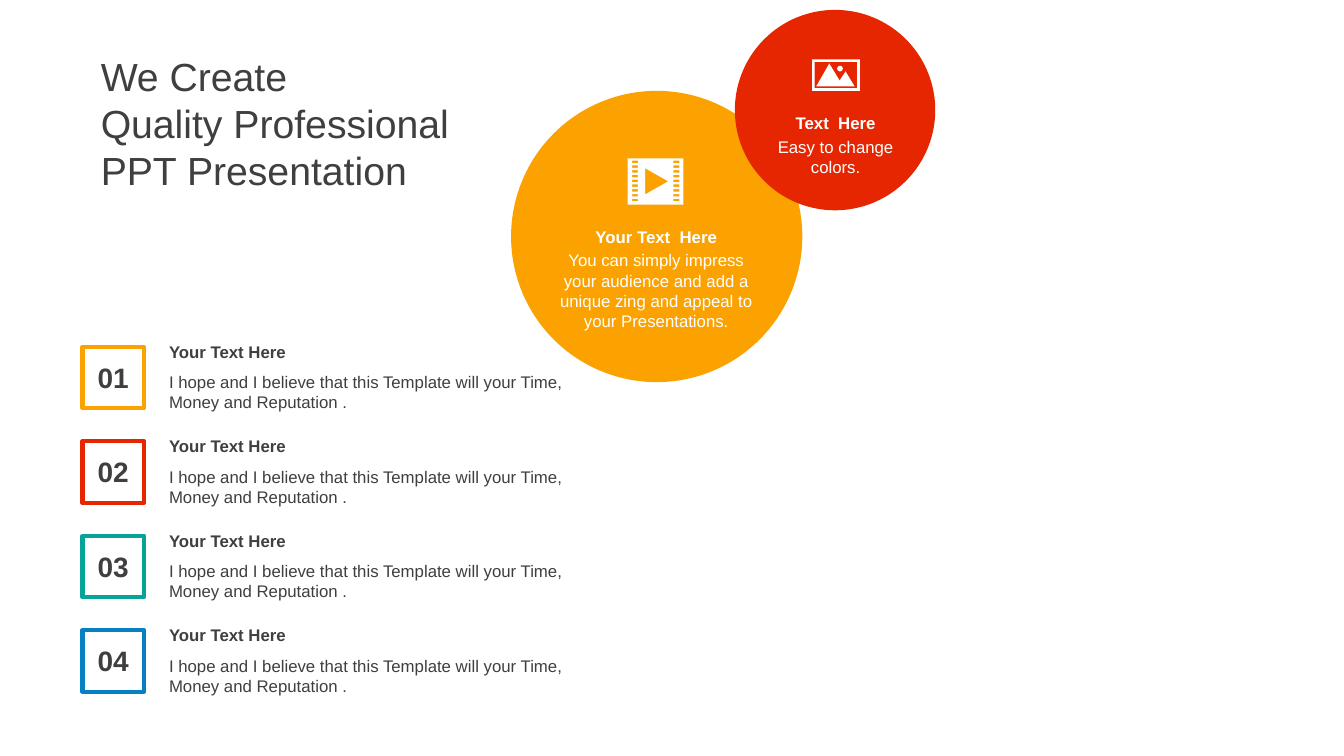
from math import cos, radians, sin

from pptx import Presentation
from pptx.dml.color import RGBColor
from pptx.enum.shapes import MSO_SHAPE as Shape
from pptx.enum.text import MSO_ANCHOR as Anchor, PP_ALIGN as Align
from pptx.util import Cm, Pt

ORANGE = RGBColor(0xFB, 0xA2, 0x00)
RED = RGBColor(0xE6, 0x26, 0x01)
TEAL = RGBColor(0x07, 0xA3, 0x98)
BLUE = RGBColor(0x06, 0x80, 0xC3)
GRAY = RGBColor(0x3F, 0x3F, 0x3F)
WHITE = RGBColor(0xFF, 0xFF, 0xFF)

ITEM_PITCH = 2.38
ITEM_TEXT = ("I hope and I believe that this Template will your Time, "
             "Money and Reputation .")


def rectangle(left, top, width, height):
    """Corner points of a rectangular contour."""
    right, bottom = left + width, top + height
    return [(left, top), (right, top), (right, bottom), (left, bottom)]


def disc(x, y, radius):
    """Points of a round contour."""
    angles = [radians(degree) for degree in range(0, 360, 15)]
    return [(x + radius * cos(a), y + radius * sin(a)) for a in angles]


class Painter:
    """Draws on one page, in centimetres, with one font."""

    font = "Arial"

    def __init__(self, page):
        self.shapes = page.shapes

    def text(self, lines, left, top, width, height, size=12, bold=False,
             color=GRAY, align=Align.LEFT, wrap=True):
        box = self.shapes.add_textbox(Cm(left), Cm(top), Cm(width), Cm(height))
        frame = box.text_frame
        frame.word_wrap = wrap
        frame.text = lines
        for para in frame.paragraphs:
            para.alignment = align
            font = para.font
            font.name, font.size, font.bold = self.font, Pt(size), bold
            font.color.rgb = color
        return frame

    def title(self, lines, left, top, width, height):
        frame = self.text(lines, left, top, width, height, size=28)
        frame.vertical_anchor = Anchor.MIDDLE
        frame.margin_left = frame.margin_right = Cm(0.1)
        frame.margin_top = frame.margin_bottom = 0

    def shape(self, kind, left, top, size, fill, line=None):
        shape = self.shapes.add_shape(kind, Cm(left), Cm(top), Cm(size), Cm(size))
        self.paint(shape, fill)
        if line is not None:
            shape.line.color.rgb = line
            shape.line.width = Pt(3)

    def icon(self, contours):
        """Draw one white outline; inner contours become holes."""
        scaled = [[(Cm(x), Cm(y)) for x, y in points] for points in contours]
        builder = self.shapes.build_freeform(*scaled[0][0])
        for points in scaled:
            builder.move_to(*points[0])
            builder.add_line_segments(points[1:], close=True)
        self.paint(builder.convert_to_shape(), WHITE)

    def paint(self, shape, fill):
        shape.shadow.inherit = False
        shape.fill.solid()
        shape.fill.fore_color.rgb = fill
        shape.line.fill.background()

    def item(self, number, top, color):
        self.shape(Shape.RECTANGLE, 2.08, top, 1.55, WHITE, color)
        self.text(f"{number:02}", 2.21, top + 0.22, 1.3, 1.12,
                  size=20, bold=True, wrap=False)
        self.text("Your Text Here", 4.01, top - 0.26, 11.76, 0.77, bold=True)
        self.text(ITEM_TEXT, 4.01, top + 0.51, 11.76, 1.27)

    def caption(self, heading, body, left, top, width, height):
        style = {"color": WHITE, "align": Align.CENTER}
        self.text(heading, left, top, width, 0.77, bold=True, **style)
        self.text(body, left, top + 0.59, width, height, **style)


def film_icon():
    sprockets = [rectangle(left, 4.05 + 0.12 * row, 0.15, 0.06)
                 for row in range(9) for left in (15.93, 16.97)]
    play = [(16.26, 4.24), (16.26, 4.9), (16.84, 4.57)]
    return [rectangle(15.82, 3.99, 1.4, 1.17), play, *sprockets]


def photo_icon():
    mountains = [(20.9, 1.6), (21.16, 2.03), (21.31, 1.8),
                 (21.54, 2.18), (20.57, 2.18)]
    return [rectangle(20.47, 1.5, 1.2, 0.79), rectangle(20.53, 1.56, 1.07, 0.66),
            mountains, disc(21.17, 1.73, 0.07)]


def main():
    deck = Presentation()
    deck.slide_width, deck.slide_height = Cm(33.87), Cm(19.05)
    painter = Painter(deck.slides.add_slide(deck.slide_layouts[6]))

    for index, color in enumerate((ORANGE, RED, TEAL, BLUE)):
        painter.item(index + 1, 8.74 + index * ITEM_PITCH, color)

    painter.shape(Shape.OVAL, 12.88, 2.29, 7.34, ORANGE)
    painter.shape(Shape.OVAL, 18.52, 0.25, 5.05, RED)
    painter.caption("Your Text  Here",
                    "You can simply impress your audience and add a unique "
                    "zing and appeal to your Presentations.",
                    13.77, 5.59, 5.54, 2.31)
    painter.caption("Text  Here", "Easy to change colors.",
                    18.9, 2.72, 4.32, 1.27)
    painter.icon(film_icon())
    painter.icon(photo_icon())

    painter.title("We Create\nQuality Professional\nPPT Presentation",
                  2.44, 1.3, 9.42, 3.58)
    deck.save("out.pptx")


if __name__ == "__main__":
    main()
